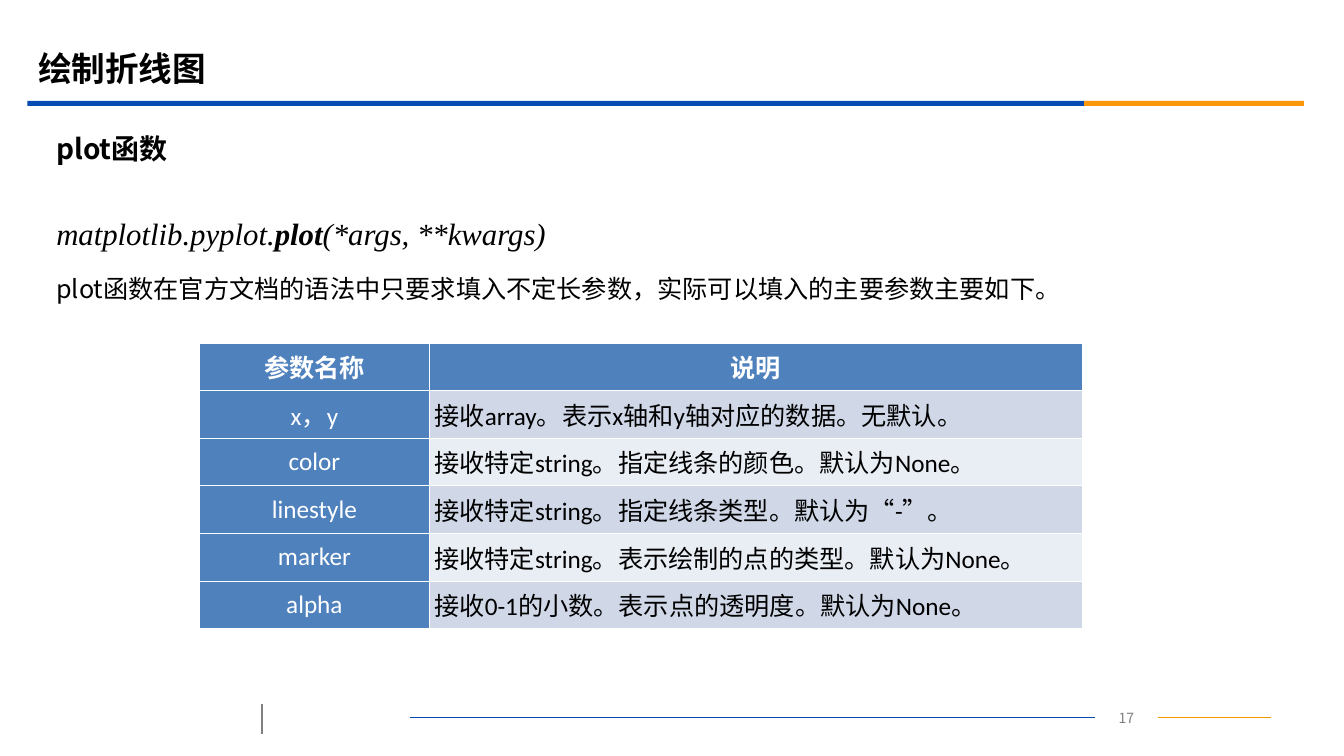
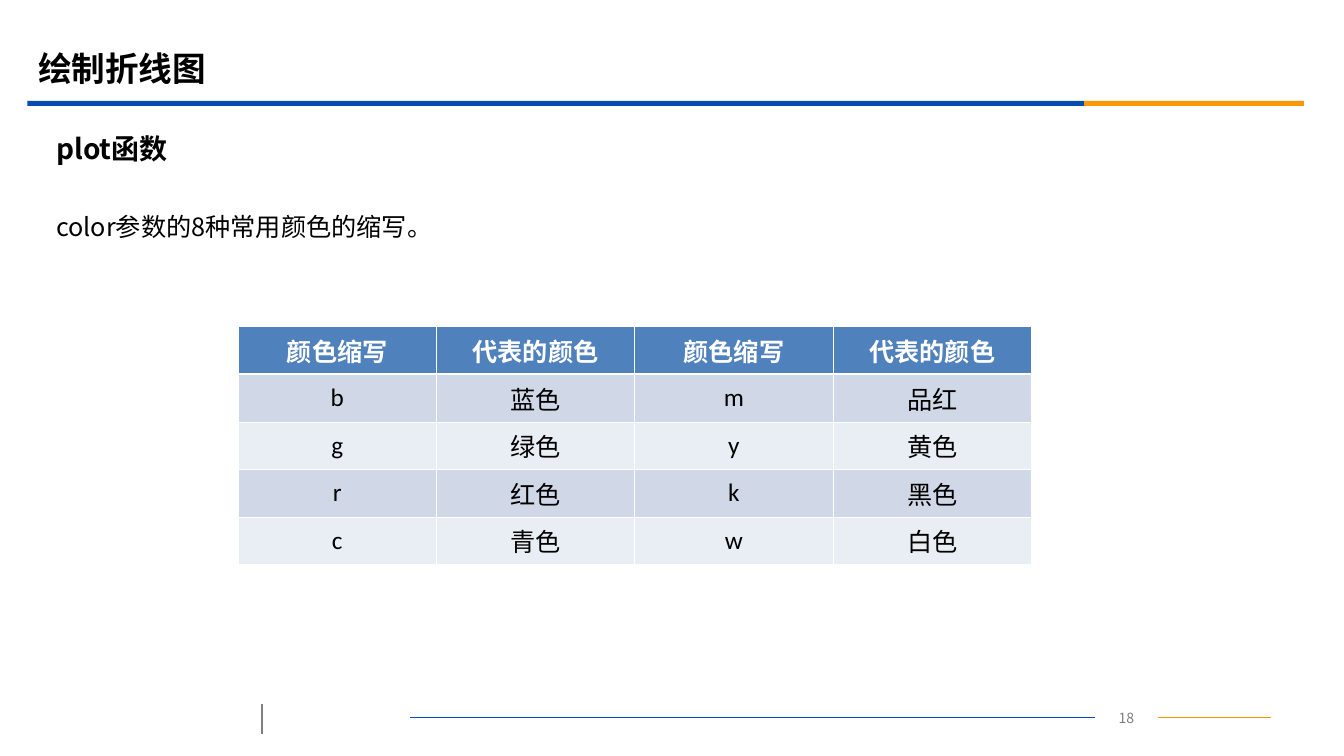
"""Build two slides on the matplotlib plot function and its parameters."""
from itertools import groupby

from lxml.etree import SubElement
from pptx import Presentation
from pptx.dml.color import RGBColor
from pptx.enum.shapes import MSO_CONNECTOR, MSO_SHAPE
from pptx.enum.text import MSO_ANCHOR as Anchor, PP_ALIGN as Align
from pptx.oxml.ns import qn
from pptx.util import Cm, Pt

BLACK, WHITE, GREY = "000000", "FFFFFF", "7F7F7F"
BLUE, ORANGE, THIN_ORANGE = "064BB2", "FB9708", "F19500"
HEADER, BANDS = "4F81BD", ("D0D8E8", "E9EDF4")
SANS, LATIN, SERIF = "Noto Sans CJK SC", "Calibri", "Times New Roman"


def rgb(value):
    return RGBColor.from_string(value)


def set_typeface(font, name):
    font.name = name
    SubElement(font._rPr, qn("a:ea")).set("typeface", name)


def set_font(font, size, color=BLACK, name=SANS, bold=False, italic=False):
    font.size, font.bold, font.italic = Pt(size), bold, italic
    font.color.rgb = rgb(color)
    set_typeface(font, name)


def set_border(cell, side, width):
    edge = SubElement(cell._tc.get_or_add_tcPr(), qn(f"a:ln{side}"), w=str(Pt(width)))
    paint = SubElement(edge, qn("a:solidFill"))
    SubElement(paint, qn("a:srgbClr")).set("val", WHITE)


class Deck:
    def __init__(self):
        self.prs = Presentation()
        self.prs.slide_width, self.prs.slide_height = Cm(33.88), Cm(19.05)
        self.slide = None

    def new_slide(self, title, subtitle, number):
        self.slide = self.prs.slides.add_slide(self.prs.slide_layouts[6])
        self.band(0.69, 26.64, BLUE)
        self.band(27.33, 5.54, ORANGE)
        self.line(29.18, 18.08, 32.03, 18.08, THIN_ORANGE)
        self.line(10.34, 18.08, 27.61, 18.08, BLUE)
        self.line(6.6, 17.73, 6.6, 18.49, GREY, 1.25)
        page = self.text_box(27.61, 17.75, 1.57, 0.64)
        self.paragraph(page, [str(number)], 10, color=GREY).alignment = Align.CENTER
        heading = self.text_box(0.71, 0.99, 30.48, 1.47, Anchor.MIDDLE)
        self.paragraph(heading, [title], 24, bold=True)
        topic = self.text_box(1.17, 3.15, 30.86, 1.19, Anchor.MIDDLE)
        self.paragraph(topic, [subtitle], 20, bold=True)

    def band(self, left, width, color):
        band = self.slide.shapes.add_shape(
            MSO_SHAPE.RECTANGLE, Cm(left), Cm(2.54), Cm(width), Cm(0.13))
        band.shadow.inherit = False
        band.fill.solid()
        band.fill.fore_color.rgb = rgb(color)
        band.line.fill.background()

    def line(self, x1, y1, x2, y2, color, width=0.75):
        line = self.slide.shapes.add_connector(
            MSO_CONNECTOR.STRAIGHT, Cm(x1), Cm(y1), Cm(x2), Cm(y2))
        line.line.color.rgb = rgb(color)
        line.line.width = Pt(width)
        SubElement(line._element.spPr, qn("a:effectLst"))

    def text_box(self, left, top, width, height, anchor=Anchor.TOP):
        frame = self.slide.shapes.add_textbox(
            Cm(left), Cm(top), Cm(width), Cm(height)).text_frame
        frame.word_wrap = True
        frame.vertical_anchor = anchor
        return frame

    def body(self):
        return self.text_box(1.17, 4.83, 30.86, 12.14)

    def paragraph(self, frame, parts, size, spacing=None, before=None, **style):
        first = frame.paragraphs[0]
        para = frame.add_paragraph() if first.runs else first
        para.line_spacing = spacing
        if before:
            para.space_before = Pt(before)
        set_font(para.font, size, **style)
        for part in parts:
            para.add_run().text = part
        return para

    def table(self, left, top, widths, rows, aligns, header_column=False):
        row_height = Cm(1.2)
        table = self.slide.shapes.add_table(
            len(rows), len(widths), Cm(left), Cm(top),
            Cm(sum(widths)), row_height * len(rows)).table
        table.horz_banding = False
        for column, width in zip(table.columns, widths):
            column.width = Cm(width)
        for r, row in enumerate(rows):
            table.rows[r].height = row_height
            for c, text in enumerate(row):
                accent = r == 0 or (header_column and c == 0)
                cell = table.cell(r, c)
                self.cell(cell, text, r, accent)
                cell.text_frame.paragraphs[0].alignment = (
                    aligns[c] if r else Align.CENTER)

    def cell(self, cell, text, row, accent):
        cell.margin_left = cell.margin_right = Cm(0.13)
        cell.vertical_anchor = Anchor.MIDDLE
        for side in "LRTB":
            under_header = (row, side) in ((0, "B"), (1, "T"))
            set_border(cell, side, 1.47 if under_header else 0.45)
        cell.fill.solid()
        cell.fill.fore_color.rgb = rgb(HEADER if accent else BANDS[(row - 1) % 2])
        scripts = [(ascii_only, "".join(chars))
                   for ascii_only, chars in groupby(text, str.isascii)]
        para = self.paragraph(
            cell.text_frame, [part for _, part in scripts], 18,
            color=WHITE if accent else BLACK, bold=row == 0)
        for run, (ascii_only, _) in zip(para.runs, scripts):
            if ascii_only:
                set_typeface(run.font, LATIN)


def main():
    deck = Deck()
    title, subtitle = "绘制折线图", "plot函数"

    deck.new_slide(title, subtitle, 17)
    syntax = deck.body()
    signature = deck.paragraph(
        syntax, ["matplotlib.pyplot.", "plot", "(*args, **kwargs)"], 22,
        spacing=1.5, name=SERIF, italic=True)
    signature.runs[1].font.bold = True
    deck.paragraph(
        syntax, ["plot函数在官方文档的语法中只要求填入不定长参数，实际可以填入的主要参数主要如下。"],
        18, spacing=1.5, before=4.5)
    parameters = [
        ("参数名称", "说明"),
        ("x，y", "接收array。表示x轴和y轴对应的数据。无默认。"),
        ("color", "接收特定string。指定线条的颜色。默认为None。"),
        ("linestyle", "接收特定string。指定线条类型。默认为“-”。"),
        ("marker", "接收特定string。表示绘制的点的类型。默认为None。"),
        ("alpha", "接收0-1的小数。表示点的透明度。默认为None。"),
    ]
    deck.table(5.03, 8.64, [5.79, 16.46], parameters,
               [Align.CENTER, Align.JUSTIFY], header_column=True)

    deck.new_slide(title, subtitle, 18)
    deck.paragraph(deck.body(), ["color参数的8种常用颜色的缩写。"], 18, spacing=1.5)
    colors = [
        ("颜色缩写", "代表的颜色") * 2,
        ("b", "蓝色", "m", "品红"),
        ("g", "绿色", "y", "黄色"),
        ("r", "红色", "k", "黑色"),
        ("c", "青色", "w", "白色"),
    ]
    deck.table(6, 8.23, [5] * 4, colors, [Align.CENTER] * 4)

    deck.prs.save("out.pptx")


if __name__ == "__main__":
    main()
